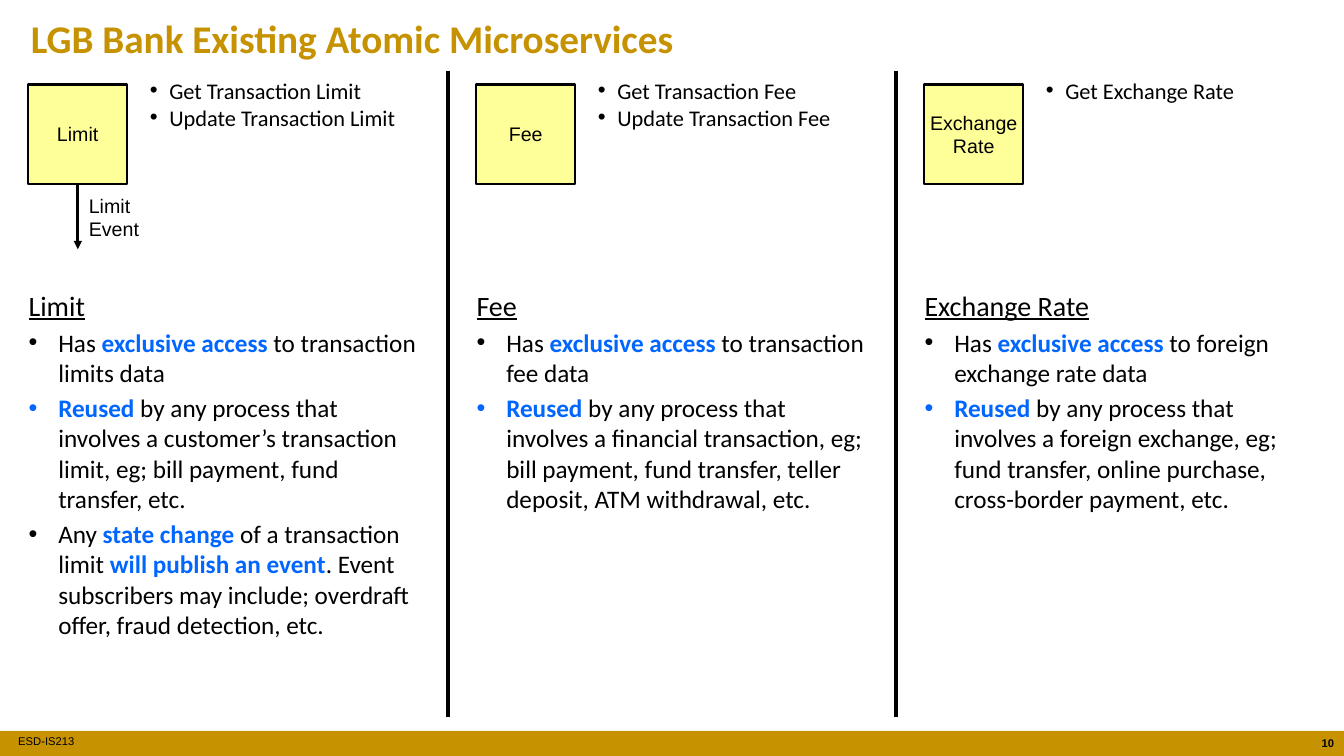
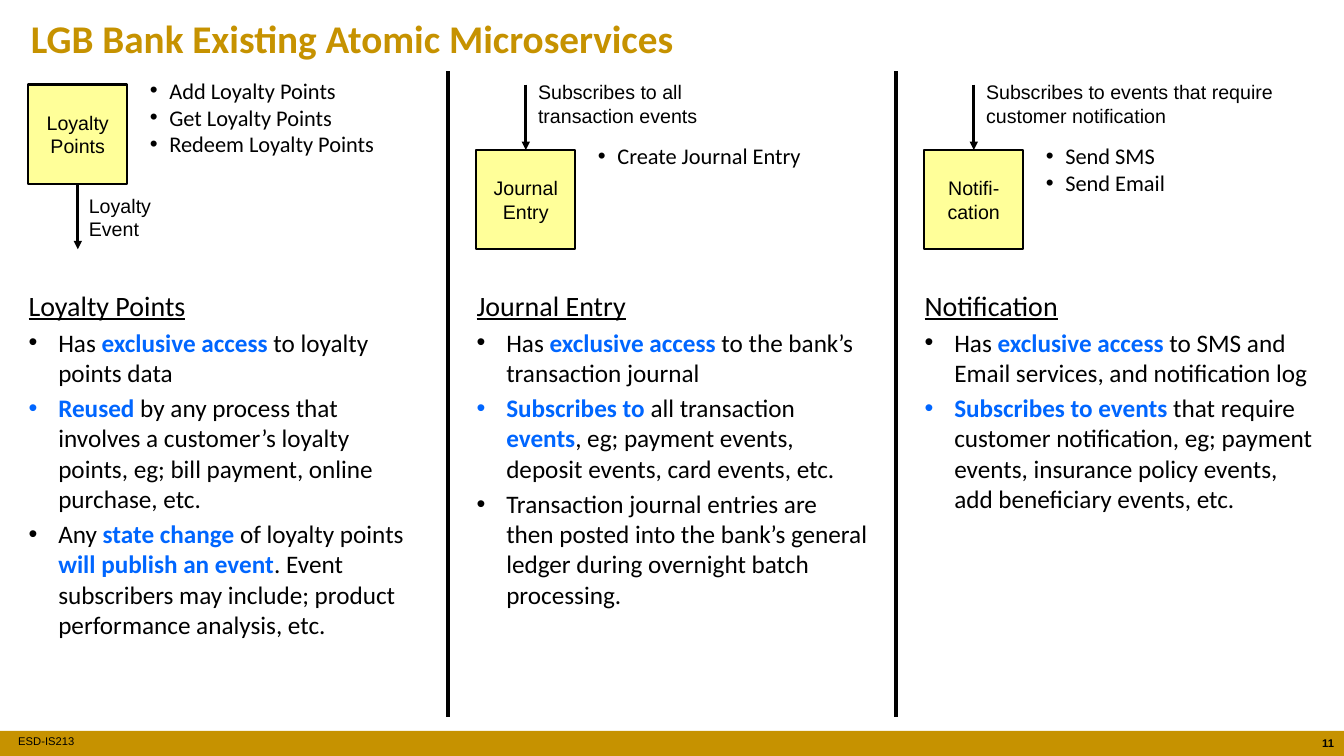
from lxml import etree
from pptx import Presentation
from pptx.dml.color import RGBColor
from pptx.enum.shapes import MSO_CONNECTOR, MSO_SHAPE
from pptx.enum.text import MSO_ANCHOR, PP_ALIGN
from pptx.oxml.ns import qn
from pptx.util import Cm, Pt

RECT = MSO_SHAPE.RECTANGLE
STRAIGHT = MSO_CONNECTOR.STRAIGHT
LEFT, CENTER, RIGHT = PP_ALIGN.LEFT, PP_ALIGN.CENTER, PP_ALIGN.RIGHT
MIDDLE = MSO_ANCHOR.MIDDLE
TOP_SIDE, BOTTOM_SIDE = 0, 2

COLORS = {"gold": "C69200", "box": "FFFF99", "ink": "000000", "key": "0066FF"}
HEAD_FONT, LABEL_FONT = "Calibri", "Arial"

# Grid in centimetres: three equal columns
WIDTH, HEIGHT = 33.87, 19.05
COLUMN = WIDTH / 3
BOX_LEFT, BOX_TOP, BOX_SIDE = 0.71, 2.13, 2.5
ARROW = 1.65
RULE_TOP, RULE_BOTTOM = 1.8, 18.08


def color(name):
    return RGBColor.from_string(COLORS[name])


class Deck:
    """Holds the style and the current slide."""

    def __init__(self):
        self.prs = Presentation()
        self.prs.slide_width, self.prs.slide_height = Cm(WIDTH), Cm(HEIGHT)
        self.s = None

    def new_slide(self, title, number):
        self.s = self.prs.slides.add_slide(self.prs.slide_layouts[6])
        # Footer band
        self.rect(0, 18.42, WIDTH, 0.63, "gold")
        tf = self.textbox(0.46, 18.39, 4.37, 0.63)
        tf.margin_left = tf.margin_right = 0
        self.paragraph(tf, "ESD-IS213", 8)
        tf = self.textbox(32.89, 18.44, 0.98, 0.61)
        self.paragraph(tf, str(number), 8, bold=True, align=RIGHT)
        # Title and column rules
        tf = self.textbox(0.53, 0.23, 27.84, 1.57)
        self.paragraph(tf, title, 28, HEAD_FONT, "gold", bold=True)
        for i in (1, 2):
            self.line(i * COLUMN, RULE_TOP, RULE_BOTTOM, 3)

    def rect(self, x, y, w, h, fill):
        sp = self.s.shapes.add_shape(RECT, Cm(x), Cm(y), Cm(w), Cm(h))
        sp.shadow.inherit = False
        sp.fill.solid()
        sp.fill.fore_color.rgb = color(fill)
        sp.line.fill.background()
        return sp

    def textbox(self, x, y, w, h):
        tf = self.s.shapes.add_textbox(Cm(x), Cm(y), Cm(w), Cm(h)).text_frame
        tf.word_wrap = True
        return tf

    def paragraph(self, tf, text, size, font=LABEL_FONT, ink="ink", bold=False,
                  underline=False, align=LEFT, before=0, bullet=None):
        """Add a paragraph; parts between asterisks are highlighted."""
        p = tf.paragraphs[0]
        if p.runs:
            p = tf.add_paragraph()
            p.space_before = Pt(before)
        p.alignment = align
        if bullet:
            pPr = p._p.get_or_add_pPr()
            pPr.set("marL", str(Cm(bullet)))
            pPr.set("indent", str(-Cm(bullet)))
            etree.SubElement(pPr, qn("a:buFont")).set("typeface", LABEL_FONT)
            etree.SubElement(pPr, qn("a:buChar")).set("char", "•")
        for i, part in enumerate(text.split("*")):
            if not part:
                continue
            key = i % 2 == 1
            r = p.add_run()
            r.text = part
            r.font.name, r.font.size = font, Pt(size)
            r.font.bold = bold or key
            r.font.underline = underline
            r.font.color.rgb = color("key" if key else ink)

    def line(self, x, y1, y2, width, arrow=False):
        c = self.s.shapes.add_connector(STRAIGHT, Cm(x), Cm(y1), Cm(x), Cm(y2))
        c.line.color.rgb = color("ink")
        c.line.width = Pt(width)
        spPr = c._element.spPr
        if arrow:
            ln = spPr.find(qn("a:ln"))
            etree.SubElement(ln, qn("a:tailEnd")).set("type", "triangle")
        etree.SubElement(spPr, qn("a:effectLst"))
        return c

    def service_box(self, x, y, name):
        sp = self.rect(x, y, BOX_SIDE, BOX_SIDE, "box")
        sp.line.color.rgb = color("ink")
        sp.line.width = Pt(1.5)
        tf = sp.text_frame
        tf.word_wrap = True
        tf.vertical_anchor = MIDDLE
        tf.margin_left = tf.margin_right = Cm(0.1)
        tf.margin_top = tf.margin_bottom = Cm(0.1)
        self.paragraph(tf, name, 14, align=CENTER)
        return sp

    def label(self, x, y, w, text):
        self.paragraph(self.textbox(x, y, w, 1.45), text, 14)

    def service(self, column, name, operations, points, box_name=None,
                publishes=None, subscribes=None, label_width=4.6):
        left = column * COLUMN
        top = BOX_TOP + (ARROW if subscribes else 0)
        middle = left + BOX_LEFT + BOX_SIDE / 2
        # Box with its operations
        box = self.service_box(left + BOX_LEFT, top, box_name or name)
        tf = self.textbox(left + 3.53, top - 0.32, 7.3, 2.8)
        for operation in operations:
            self.paragraph(tf, operation, 16, HEAD_FONT, bullet=0.49)
        # Event arrows
        if publishes:
            bottom = top + BOX_SIDE
            c = self.line(middle, bottom, bottom + ARROW, 2, arrow=True)
            c.begin_connect(box, BOTTOM_SIDE)
            self.label(middle + 0.03, bottom + 0.12, 2.46, publishes)
        if subscribes:
            c = self.line(middle, BOX_TOP, top, 2, arrow=True)
            c.end_connect(box, TOP_SIDE)
            self.label(middle + 0.06, BOX_TOP - 0.23, label_width, subscribes)
        # Description
        tf = self.textbox(left + 0.47, 7.14, 10.36, 10.95)
        self.paragraph(tf, name, 20, HEAD_FONT, underline=True)
        for point in points:
            self.paragraph(tf, point, 18, HEAD_FONT, before=3.6, bullet=0.75)


def main():
    deck = Deck()
    title = "LGB Bank Existing Atomic Microservices"

    # Limit, fee and exchange rate
    deck.new_slide(title, 10)
    deck.service(
        0, "Limit", ["Get Transaction Limit", "Update Transaction Limit"],
        ["Has *exclusive access* to transaction limits data",
         "*Reused* by any process that involves a customer’s transaction "
         "limit, eg; bill payment, fund transfer, etc.",
         "Any *state change* of a transaction limit *will publish an event*. "
         "Event subscribers may include; overdraft offer, fraud detection, "
         "etc."],
        publishes="Limit Event")
    deck.service(
        1, "Fee", ["Get Transaction Fee", "Update Transaction Fee"],
        ["Has *exclusive access* to transaction fee data",
         "*Reused* by any process that involves a financial transaction, eg; "
         "bill payment, fund transfer, teller deposit, ATM withdrawal, etc."])
    deck.service(
        2, "Exchange Rate", ["Get Exchange Rate"],
        ["Has *exclusive access* to foreign exchange rate data",
         "*Reused* by any process that involves a foreign exchange, eg; fund "
         "transfer, online purchase, cross-border payment, etc."])

    # Loyalty points, journal entry and notification
    deck.new_slide(title, 11)
    deck.service(
        0, "Loyalty Points",
        ["Add Loyalty Points", "Get Loyalty Points", "Redeem Loyalty Points"],
        ["Has *exclusive access* to loyalty points data",
         "*Reused* by any process that involves a customer’s loyalty points, "
         "eg; bill payment, online purchase, etc.",
         "Any *state change* of loyalty points *will publish an event*. Event "
         "subscribers may include; product performance analysis, etc."],
        publishes="Loyalty Event")
    deck.service(
        1, "Journal Entry", ["Create Journal Entry"],
        ["Has *exclusive access* to the bank’s transaction journal",
         "*Subscribes to* all transaction *events*, eg; payment events, "
         "deposit events, card events, etc.",
         "Transaction journal entries are then posted into the bank’s general "
         "ledger during overnight batch processing."],
        subscribes="Subscribes to all transaction events")
    deck.service(
        2, "Notification", ["Send SMS", "Send Email"],
        ["Has *exclusive access* to SMS and Email services, and notification "
         "log",
         "*Subscribes to events* that require customer notification, eg; "
         "payment events, insurance policy events, add beneficiary events, "
         "etc."],
        box_name="Notifi-cation",
        subscribes="Subscribes to events that require customer notification",
        label_width=8.79)

    deck.prs.save("out.pptx")


if __name__ == "__main__":
    main()
